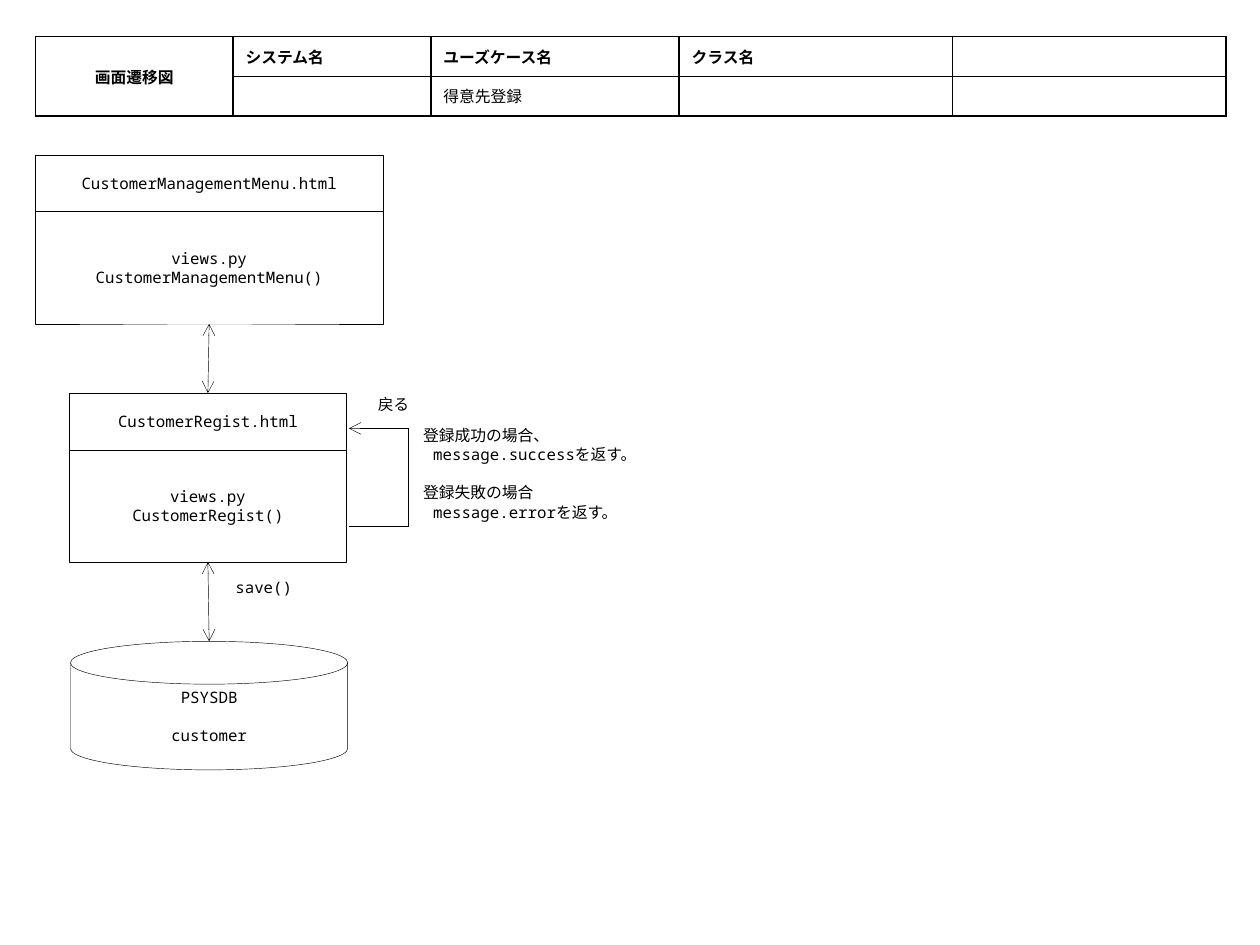
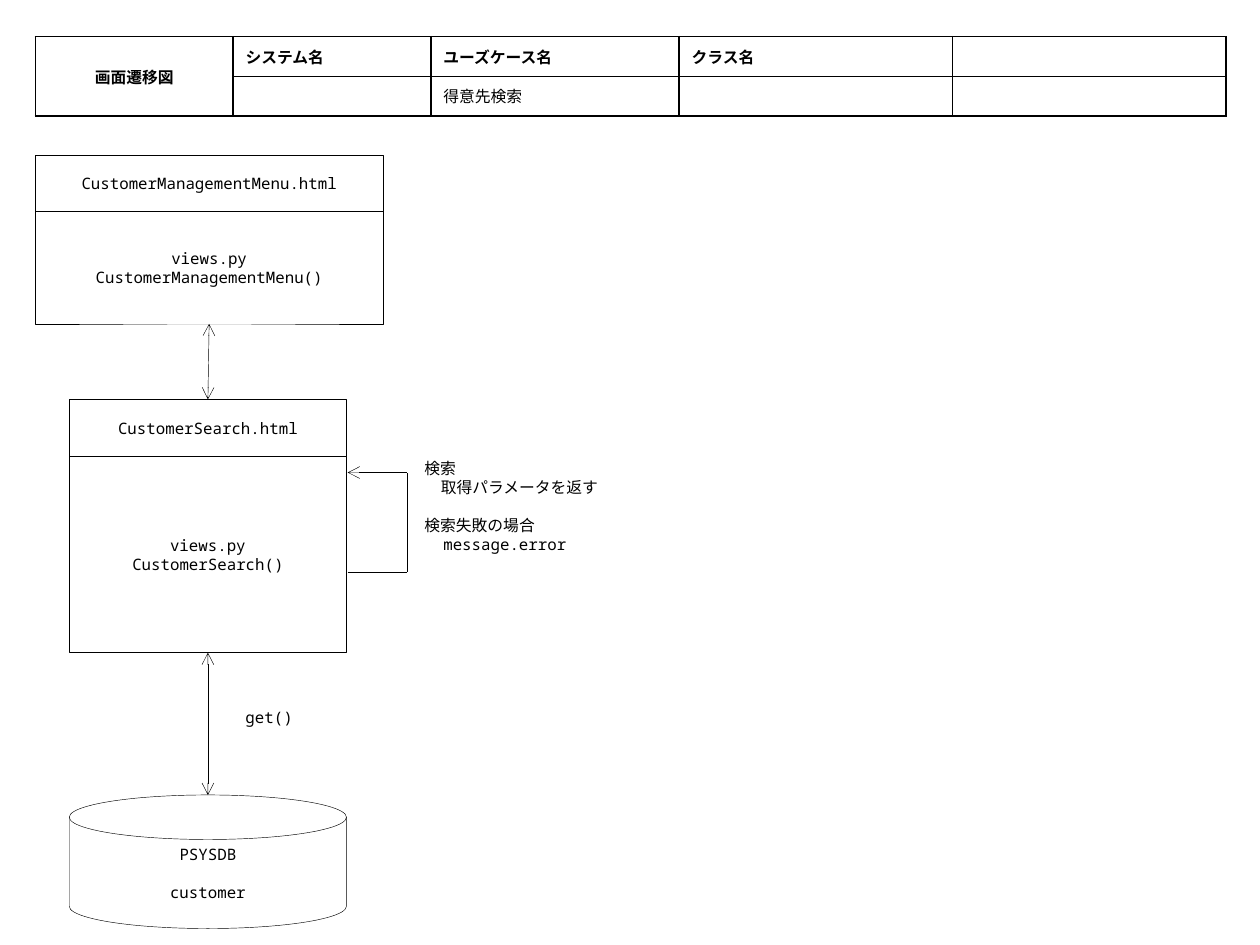
"""Build two screen transition diagrams for customer registration and search."""
from dataclasses import dataclass

from lxml import etree
from pptx import Presentation
from pptx.dml.color import RGBColor
from pptx.enum.shapes import MSO_CONNECTOR, MSO_SHAPE
from pptx.enum.text import MSO_ANCHOR, PP_ALIGN
from pptx.oxml.ns import qn
from pptx.util import Inches, Pt

RECT, DISK = MSO_SHAPE.RECTANGLE, MSO_SHAPE.FLOWCHART_MAGNETIC_DISK
STRAIGHT = MSO_CONNECTOR.STRAIGHT
LEFT, CENTER = PP_ALIGN.LEFT, PP_ALIGN.CENTER
TOP, MIDDLE = MSO_ANCHOR.TOP, MSO_ANCHOR.MIDDLE
SIDE_TOP, SIDE_BOTTOM = 0, 2


@dataclass(frozen=True)
class Theme:
    """Colours, fonts, type sizes and line widths."""
    ink: RGBColor = RGBColor(0, 0, 0)
    paper: RGBColor = RGBColor(255, 255, 255)
    mono: str = "Noto Sans Mono"
    japanese: str = "Noto Sans CJK JP"
    size: Pt = Pt(9)
    leading: Pt = Pt(10.9)
    line: Pt = Pt(0.25)
    border: Pt = Pt(1)


@dataclass(frozen=True)
class Line:
    """One line of text with its indent in inches and an optional gap above."""
    text: str
    indent: float = 0
    gap: bool = False


@dataclass(frozen=True)
class Box:
    """A place on the slide in inches."""
    left: float
    top: float
    width: float
    height: float


@dataclass(frozen=True)
class Screen:
    """A page and the view function behind it."""
    name: str
    left: float
    top: float
    width: float
    view_height: float


@dataclass(frozen=True)
class Loop:
    """A path that leaves a screen and returns to it higher up."""
    left: float
    right: float
    top: float
    bottom: float


@dataclass(frozen=True)
class Label:
    """Borderless text lines in a box."""
    box: Box
    lines: tuple[Line, ...]
    anchor: MSO_ANCHOR = MIDDLE


@dataclass(frozen=True)
class Diagram:
    """The contents of one slide."""
    use_case: str
    screen: Screen
    database: Box
    loop: Loop
    labels: tuple[Label, ...]


THEME = Theme()
HEAD_HEIGHT = 0.45
HEADER = Box(0.28, 0.29, 9.45, 0.63)
HEADER_COLUMNS = (1.57, 1.57, 1.97, 2.17, 2.17)
HEADER_TITLES = ("画面遷移図", "システム名", "ユーズケース名", "クラス名", "")
MENU = Screen("CustomerManagementMenu", 0.28, 1.23, 2.76, 0.89)
TABLES = (Line("PSYSDB"), Line("customer", gap=True))

DIAGRAMS = (
    Diagram(
        "得意先登録",
        Screen("CustomerRegist", 0.55, 3.12, 2.2, 0.89),
        Box(0.56, 5.09, 2.2, 1.02),
        Loop(2.77, 3.24, 3.4, 4.18),
        (
            Label(Box(3.26, 3.33, 2.53, 0.94), (
                Line("登録成功の場合、"),
                Line("message.successを返す。", 0.08),
                Line("登録失敗の場合", gap=True),
                Line("message.errorを返す。", 0.08)), TOP),
            Label(Box(1.77, 4.54, 0.87, 0.24), (Line("save()"),)),
            Label(Box(2.9, 3.09, 0.87, 0.24), (Line("戻る"),)),
        ),
    ),
    Diagram(
        "得意先検索",
        Screen("CustomerSearch", 0.55, 3.17, 2.2, 1.56),
        Box(0.55, 6.31, 2.2, 1.06),
        Loop(2.76, 3.23, 3.75, 4.54),
        (
            Label(Box(3.27, 3.59, 1.79, 0.91), (
                Line("検索"),
                Line("取得パラメータを返す", 0.13),
                Line("検索失敗の場合", gap=True),
                Line("message.error", 0.15)), TOP),
            Label(Box(1.85, 5.57, 0.87, 0.24), (Line("get()"),)),
        ),
    ),
)


def place(box: Box) -> tuple:
    """Return the box as four lengths."""
    return tuple(map(Inches, (box.left, box.top, box.width, box.height)))


def write(p, text: str, font: str, bold: bool = False) -> None:
    """Add a run in the theme's size and colour."""
    r = p.add_run()
    r.text = text
    for key, value in {"name": font, "size": THEME.size, "bold": bold}.items():
        setattr(r.font, key, value)
    r.font.color.rgb = THEME.ink
    etree.SubElement(r.font._element, qn("a:ea"), typeface=THEME.japanese)


def add_box(s, box: Box, lines: tuple[Line, ...], kind=RECT, outlined: bool = True,
            align=CENTER, anchor=MIDDLE):
    """Draw a white shape with lines of text."""
    sp = s.shapes.add_shape(kind, *place(box))
    sp.shadow.inherit = False
    sp.fill.solid()
    sp.fill.fore_color.rgb = THEME.paper
    if outlined:
        sp.line.color.rgb = THEME.ink
        sp.line.width = THEME.line
    else:
        sp.line.fill.background()
    tf = sp.text_frame
    tf.word_wrap = True
    tf.vertical_anchor = anchor
    for i, line in enumerate(lines):
        p = tf.add_paragraph() if i else tf.paragraphs[0]
        p.alignment = align
        p.line_spacing = THEME.leading
        if line.gap:
            p.space_before = THEME.leading
        if line.indent:
            p._p.get_or_add_pPr().set("marL", str(Inches(line.indent)))
        write(p, line.text, THEME.mono)
    return sp


def add_line(s, start: tuple[float, float], end: tuple[float, float],
             arrows: tuple[str, ...] = ()):
    """Draw a thin straight line with open arrowheads at the named ends."""
    cx = s.shapes.add_connector(STRAIGHT, *map(Inches, (*start, *end)))
    cx.line.color.rgb = THEME.ink
    cx.line.width = THEME.line
    ln = cx.line._get_or_add_ln()
    for name in arrows:
        etree.SubElement(ln, qn(f"a:{name}"), type="arrow")
    etree.SubElement(cx._element.spPr, qn("a:effectLst"))
    return cx


def add_screen(s, screen: Screen) -> tuple:
    """Draw a page box above its view box and return both."""
    head = Box(screen.left, screen.top, screen.width, HEAD_HEIGHT)
    view = Box(screen.left, screen.top + HEAD_HEIGHT, screen.width, screen.view_height)
    return (add_box(s, head, (Line(f"{screen.name}.html"),)),
            add_box(s, view, (Line("views.py"), Line(f"{screen.name}()"))))


def add_loop(s, loop: Loop) -> None:
    """Draw the three sides of a returning path."""
    add_line(s, (loop.right, loop.top), (loop.left, loop.top), ("tailEnd",))
    add_line(s, (loop.left, loop.bottom), (loop.right, loop.bottom))
    add_line(s, (loop.right, loop.bottom), (loop.right, loop.top))


def style_cell(cell) -> None:
    """Give a cell black borders, a white fill and middle anchoring."""
    tcPr = cell._tc.get_or_add_tcPr()
    for side in ("lnL", "lnR", "lnT", "lnB"):
        ln = etree.SubElement(tcPr, qn(f"a:{side}"), w=str(THEME.border))
        fill = etree.SubElement(ln, qn("a:solidFill"))
        etree.SubElement(fill, qn("a:srgbClr"), val=str(THEME.ink))
    cell.fill.solid()
    cell.fill.fore_color.rgb = THEME.paper
    cell.vertical_anchor = MIDDLE


def add_header(s, use_case: str) -> None:
    """Draw the header table that names the use case."""
    rows = (HEADER_TITLES, ("", "", use_case, "", ""))
    table = s.shapes.add_table(len(rows), len(HEADER_COLUMNS), *place(HEADER)).table
    table.first_row = table.horz_banding = False
    for column, width in zip(table.columns, HEADER_COLUMNS):
        column.width = Inches(width)
    for y, texts in enumerate(rows):
        table.rows[y].height = Inches(HEADER.height / len(rows))
        for x, text in enumerate(texts):
            cell = table.cell(y, x)
            style_cell(cell)
            p = cell.text_frame.paragraphs[0]
            p.alignment = LEFT if x else CENTER
            if text:
                write(p, text, THEME.japanese, bold=y == 0)
            else:
                etree.SubElement(p._p, qn("a:endParaRPr"), sz=str(int(THEME.size.pt * 100)))
    table.cell(0, 0).merge(table.cell(1, 0))


def add_diagram(prs, diagram: Diagram) -> None:
    """Add a slide with one transition diagram."""
    s = prs.slides.add_slide(prs.slide_layouts[6])
    add_header(s, diagram.use_case)
    page, view = add_screen(s, diagram.screen)
    db = diagram.database
    add_box(s, db, TABLES, DISK)
    for label in diagram.labels:
        add_box(s, label.box, label.lines, outlined=False, align=LEFT, anchor=label.anchor)
    menu_view = add_screen(s, MENU)[1]
    both = ("headEnd", "tailEnd")
    db_top = (db.left + db.width / 2, db.top)
    link = add_line(s, db_top, db_top, both)
    link.end_connect(view, SIDE_BOTTOM)
    link = add_line(s, db_top, db_top, both)
    link.begin_connect(menu_view, SIDE_BOTTOM)
    link.end_connect(page, SIDE_TOP)
    add_loop(s, diagram.loop)


def main() -> None:
    """Build and save the presentation."""
    prs = Presentation()
    prs.slide_width, prs.slide_height = Inches(10), Inches(7.5)
    for diagram in DIAGRAMS:
        add_diagram(prs, diagram)
    prs.save("out.pptx")


if __name__ == "__main__":
    main()
